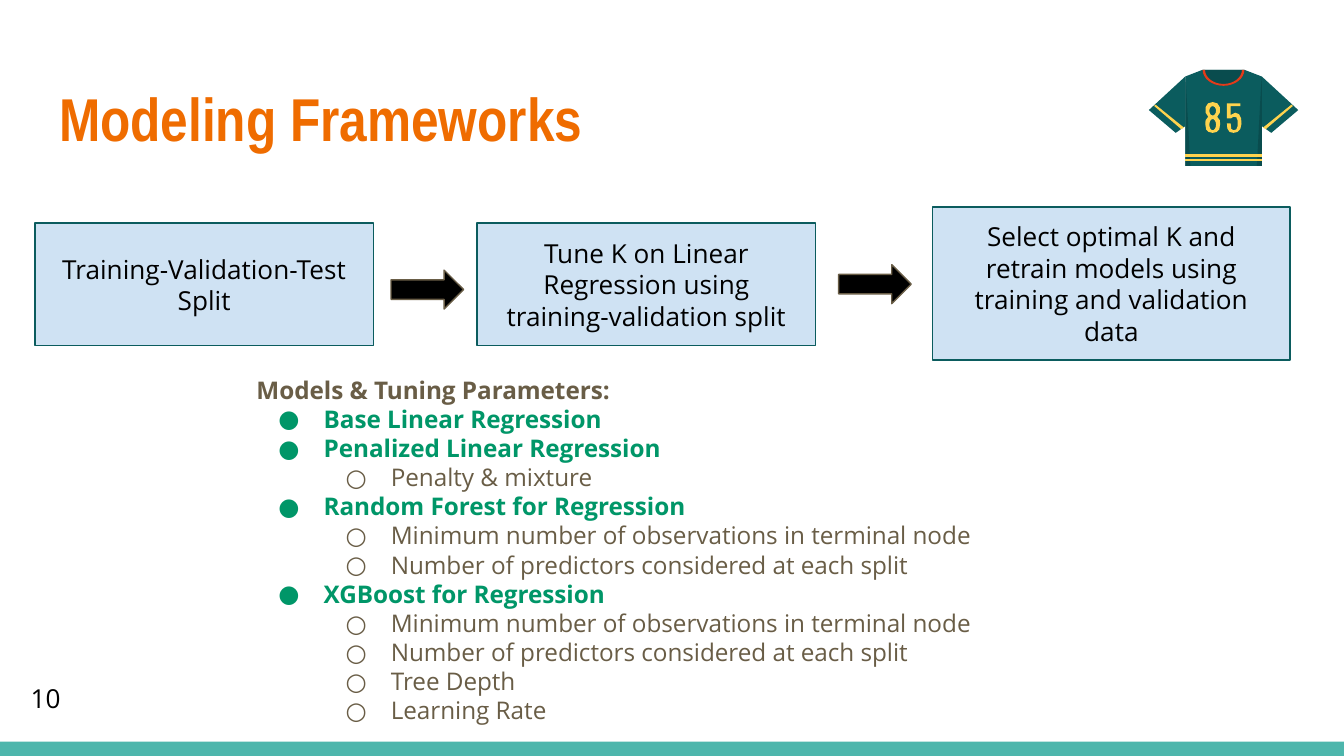
from math import cos, sin, pi
from lxml.etree import SubElement
from pptx import Presentation
from pptx.dml.color import RGBColor as RGB
from pptx.enum.shapes import MSO_SHAPE as Kind
from pptx.enum.text import MSO_ANCHOR as Anchor, MSO_AUTO_SIZE as Auto, PP_ALIGN as Align
from pptx.oxml.ns import qn
from pptx.util import Pt

HUES = {
    "bar": "4DB6AC", "title": "EF6C00", "box": "CFE2F3", "edge": "0B5C5E",
    "ink": "000000", "brown": "695D46", "green": "009668",
    "cloth": "0B5C5E", "shade": "094C4E", "red": "E33B1A", "gold": "FFD34E",
}
FONT = "Open Sans"

# Content: steps as (lines, left, top, width, height)
STEPS = [
    (["Training-Validation-Test", "Split"], 18.7, 119.5, 181.4, 65.5),
    (["Tune K on Linear Regression using training-validation split"],
     255.6, 119.5, 181.4, 65.5),
    (["Select optimal K and retrain models using training and validation data"],
     499.7, 110.9, 191.5, 82.1),
]
ARROWS = [(209.5, 144.7), (449.3, 141.8)]
HEAD = "Models & Tuning Parameters:"
FOREST = ["Minimum number of observations in terminal node",
          "Number of predictors considered at each split"]
MODELS = [
    ("Base Linear Regression", []),
    ("Penalized Linear Regression", ["Penalty & mixture"]),
    ("Random Forest for Regression", FOREST),
    ("XGBoost for Regression", FOREST + ["Tree Depth", "Learning Rate"]),
]

# Jersey outlines, measured from the middle of its top edge
AXIS, TOP = 655.5, 37.4
SLEEVE = [(20.5, 3.6), (40, 21.6), (25.6, 33.8), (20.5, 30.2)]
FOLD = [(20.5, 3.6), (20.5, 51.5), (17.8, 51.5), (20, 10)]
CUFF = [(36.4, 18.7), (21.2, 31), (22.7, 31.8), (37.2, 19.4)]
BODY = [(11.2, 0), (20.5, 3.6), (20.5, 51.5)]
EIGHT = [(0, 17.3), (2.5, 18), (3.8, 20), (3.8, 23), (2.4, 25.2), (3.8, 27),
         (4, 29), (3.5, 32), (2.2, 33.3), (0, 33.8)]
FIVE = [(1.8, 18), (1.8, 26), (4, 26), (5.3, 25.2), (6.8, 25.4), (7.5, 27),
        (7.6, 30), (6.8, 32), (5.3, 32.4), (4.1, 31.7), (3.8, 28.8), (1.8, 28.8),
        (2, 31.5), (3.2, 33.3), (5.3, 33.8), (7.5, 33.3), (9, 31.7), (9.6, 29),
        (9.4, 26), (8.3, 23.8), (6.2, 23), (3.8, 24.2), (3.8, 19.5), (9, 19.5), (9, 18)]

deck = Presentation()
deck.slide_width, deck.slide_height = Pt(720), Pt(405)
slide = deck.slides.add_slide(deck.slide_layouts[5])
shapes = slide.shapes


def paint(shape, fill, edge=None):
    shape.shadow.inherit = False
    shape.fill.solid()
    shape.fill.fore_color.rgb = RGB.from_string(HUES[fill])
    if edge:
        shape.line.color.rgb = RGB.from_string(HUES[edge])
        shape.line.width = Pt(0.75)
    else:
        shape.line.fill.background()


def block(kind, x, y, w, h, fill, edge=None):
    shape = shapes.add_shape(kind, Pt(x), Pt(y), Pt(w), Pt(h))
    paint(shape, fill, edge)
    return shape


def frame(shape, side=7.2):
    text = shape.text_frame
    text.word_wrap, text.auto_size = True, Auto.NONE
    text.margin_left = text.margin_right = Pt(side)
    text.margin_top = text.margin_bottom = Pt(7.2)
    return text


def style(para, size, hue, bold=False, face=FONT, align=Align.LEFT):
    para.alignment = align
    font = para.font
    font.name, font.size, font.bold = face, Pt(size), bold
    font.color.rgb = RGB.from_string(HUES[hue])


def label(x, y, w, h):
    return frame(shapes.add_textbox(Pt(x), Pt(y), Pt(w), Pt(h)))


def bullet(para, level, mark, hue):
    para.level = level
    props = para._p.get_or_add_pPr()
    props.set("marL", str(Pt(36 * (level + 1))))
    props.set("indent", str(-Pt(24.3)))
    tint = SubElement(props, qn("a:buClr"))
    SubElement(tint, qn("a:srgbClr"), val=HUES[hue])
    SubElement(props, qn("a:buFont"), typeface=FONT)
    SubElement(props, qn("a:buChar"), char=mark)


def flip(points):
    return [(-x, y) for x, y in reversed(points)]


def arc(x, y, wide, deep, start=0, end=pi, count=16):
    turns = [start + (end - start) * i / count for i in range(count + 1)]
    return [(x + wide * cos(t), y + deep * sin(t)) for t in turns]


def trace(group, hue, *loops):
    loops = [[(Pt(AXIS + x), Pt(TOP + y)) for x, y in loop] for loop in loops]
    pen = group.shapes.build_freeform(*loops[0][0], scale=1.0)
    for i, loop in enumerate(loops):
        if i:
            pen.move_to(*loop[0])
        pen.add_line_segments(loop[1:], close=True)
    paint(pen.convert_to_shape(), hue)


# Footer bar and title
block(Kind.RECTANGLE, 0, 397.4, 720, 7.6, "bar")
title = shapes.title
title.left, title.top, title.width, title.height = Pt(24.5), Pt(35.3), Pt(671), Pt(55.4)
text = frame(title)
text.vertical_anchor = Anchor.MIDDLE
text.text = "Modeling Frameworks"
style(text.paragraphs[0], 32.4, "title", True, "Arial Narrow")

# Process steps and arrows
for lines, x, y, w, h in STEPS:
    text = frame(block(Kind.RECTANGLE, x, y, w, h, "box", "edge"), (w - 164.2) / 2)
    text.vertical_anchor = Anchor.MIDDLE
    text.text = "\n".join(lines)
    for para in text.paragraphs:
        style(para, 14, "ink", align=Align.CENTER)
for x, y in ARROWS:
    block(Kind.RIGHT_ARROW, x, y, 38.9, 20.9, "ink", "brown")

# Models and their parameters
text = label(130.3, 193.7, 433.4, 203.8)
text.text = HEAD
style(text.paragraphs[0], 13, "brown", True)
for model, params in MODELS:
    rows = [(model, 0, "●", "green")] + [(p, 1, "○", "brown") for p in params]
    for words, level, mark, hue in rows:
        para = text.add_paragraph()
        para.text = words
        bullet(para, level, mark, hue)
        style(para, 13, hue, level == 0)

# Jersey
shirt = shapes.add_group_shape()
trace(shirt, "cloth", BODY + flip(BODY))
for part, hue in [(SLEEVE, "cloth"), (FOLD, "shade"), (CUFF, "gold")]:
    trace(shirt, hue, part)
    trace(shirt, hue, flip(part))
neck = arc(0, 0, 11.2, 8.6)
trace(shirt, "shade", neck)
trace(shirt, "red", neck + arc(0, 0, 9.9, 7.6, pi, 0))
for y in (45.2, 47.8):
    trace(shirt, "gold", [(-20.5, y), (20.5, y), (20.5, y + 1.3), (-20.5, y + 1.3)])
loops = [EIGHT + flip(EIGHT), arc(0, 22, 1.8, 2.5, 0, 2 * pi), arc(0, 29.4, 1.8, 3, 0, 2 * pi)]
trace(shirt, "gold", *[[(x - 5.8, y) for x, y in loop] for loop in loops])
trace(shirt, "gold", FIVE)

# Page number
text = label(9.4, 358.6, 41, 31.7)
text.text = "10"
style(text.paragraphs[0], 14, "ink")

deck.save("out.pptx")
